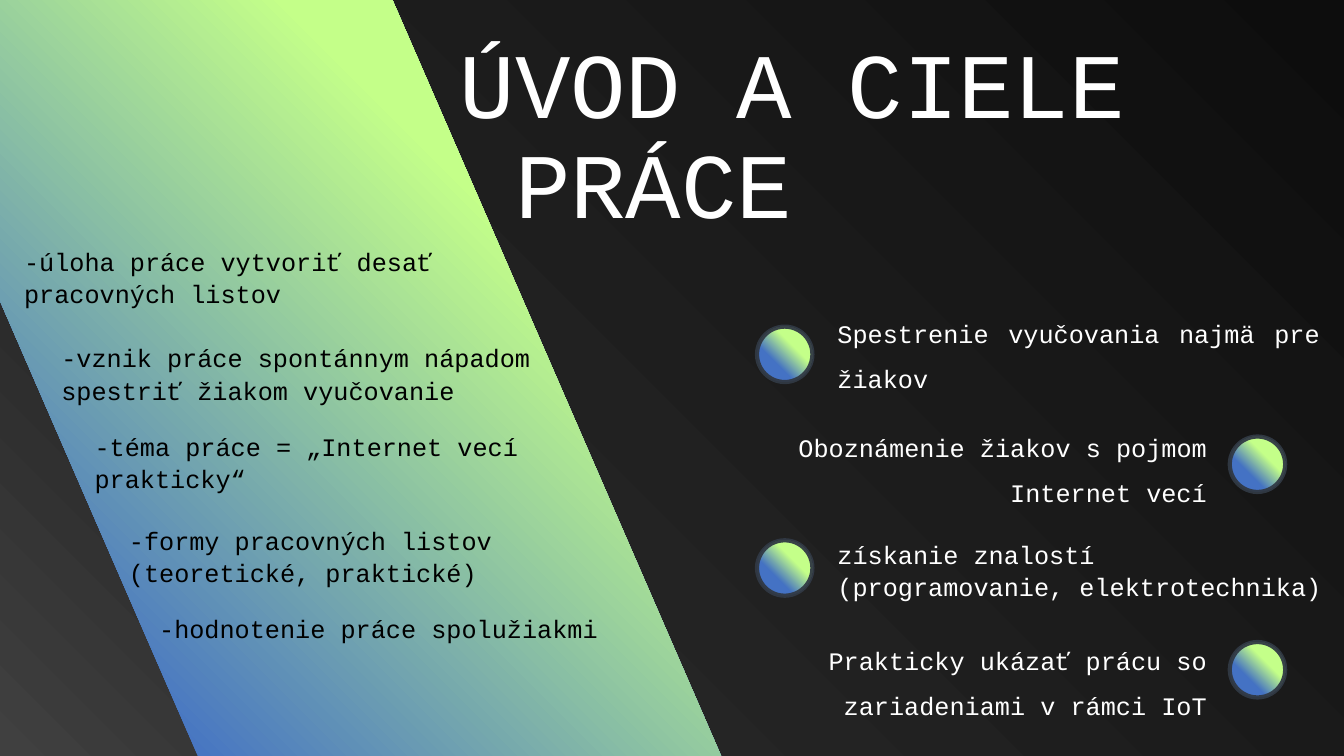
from lxml import etree
from pptx import Presentation
from pptx.dml.color import RGBColor
from pptx.enum.shapes import MSO_SHAPE
from pptx.enum.text import MSO_ANCHOR, MSO_AUTO_SIZE, PP_ALIGN
from pptx.oxml import parse_xml
from pptx.oxml.ns import nsdecls, qn
from pptx.util import Pt

WHITE = RGBColor(0xFF, 0xFF, 0xFF)
BLACK = RGBColor(0x00, 0x00, 0x00)
COAL = RGBColor(0x0D, 0x0D, 0x0D)
CHARCOAL = RGBColor(0x27, 0x27, 0x27)
GREY = RGBColor(0x40, 0x40, 0x40)
LIME = RGBColor(0xC4, 0xFF, 0x89)
BLUE = RGBColor(0x44, 0x72, 0xC4)
RING = RGBColor(0x31, 0x39, 0x44)

FONT = "Courier New"
DARK_STOPS = [(0, COAL), (74, CHARCOAL), (100, GREY)]
LIME_STOPS = [(35, LIME), (66, BLUE)]

deck = Presentation()
deck.slide_width, deck.slide_height = Pt(960), Pt(540)
page = deck.slides.add_slide(deck.slide_layouts[5])


def add_gradient_shape(kind, left, top, width, height, stops):
    """Add a shape shaded outwards from its top right corner."""
    shape = page.shapes.add_shape(kind, Pt(left), Pt(top), Pt(width), Pt(height))
    shape.shadow.inherit = False
    shape.line.fill.background()
    marks = "".join(
        f'<a:gs pos="{place * 1000}"><a:srgbClr val="{color}"/></a:gs>'
        for place, color in stops
    )
    gradient = parse_xml(
        f'<a:gradFill {nsdecls("a")} rotWithShape="1"><a:gsLst>{marks}</a:gsLst>'
        '<a:path path="circle"><a:fillToRect l="100000" b="100000"/></a:path>'
        '<a:tileRect t="-100000" r="-100000"/></a:gradFill>'
    )
    shape.element.spPr.find(qn("a:prstGeom")).addnext(gradient)
    return shape


def write_text(box, lines, size, color, paragraph_format):
    """Fill a box with left-top anchored lines in the slide's font."""
    frame = box.text_frame
    frame.word_wrap = True
    frame.auto_size = MSO_AUTO_SIZE.NONE
    frame.vertical_anchor = MSO_ANCHOR.TOP
    for index, line in enumerate(lines):
        para = frame.paragraphs[0] if index == 0 else frame.add_paragraph()
        for name, value in paragraph_format.items():
            setattr(para, name, value)
        span = para.add_run()
        span.text = line
        span.font.name, span.font.size = FONT, Pt(size)
        span.font.color.rgb = color


# Background and slanted band
add_gradient_shape(MSO_SHAPE.RECTANGLE, 0, 0, 960, 540, DARK_STOPS)
band = add_gradient_shape(MSO_SHAPE.RECTANGLE, -348.5, 162.7, 1174.3, 342.7, LIME_STOPS)
band.rotation = 66.5

# Title, brought in front of the band
title = page.shapes.title
title.left, title.top, title.width, title.height = Pt(321.1), Pt(23.8), Pt(870.5), Pt(39.6)
title_format = {"alignment": PP_ALIGN.LEFT, "line_spacing": 0.9, "space_before": Pt(0)}
write_text(title, ["ÚVOD A CIELE", "PRÁCE"], 66, WHITE, title_format)
second_line = title.text_frame.paragraphs[1]
second_line._p.get_or_add_pPr().set("marL", str(Pt(39.6)))  # one character wide
band.element.addnext(title.element)

# Introduction, stepping down along the band
TIGHT = {"alignment": PP_ALIGN.LEFT, "line_spacing": 1.07, "space_after": Pt(8)}
intro = [
    (10.1, 170.6, 332.6, "-úloha práce vytvoriť desať pracovných listov"),
    (36.7, 239.8, 355, "-vznik práce spontánnym nápadom spestriť žiakom vyučovanie"),
    (60.5, 303.1, 355, "-téma práce = „Internet vecí prakticky“"),
    (85, 370.1, 362.9, "-formy pracovných listov (teoretické, praktické)"),
    (106.6, 432.7, 362.9, "-hodnotenie práce spolužiakmi"),
]
for left, top, width, text in intro:
    box = page.shapes.add_textbox(Pt(left), Pt(top), Pt(width), Pt(107.3))
    write_text(box, [text], 18, BLACK, TIGHT)

# Goals, each with a disc on alternating sides
JUSTIFIED = {"alignment": PP_ALIGN.JUSTIFY, "line_spacing": 1.5}
RIGHT = {"alignment": PP_ALIGN.RIGHT, "line_spacing": 1.5}
DISC_SIZE = 39.6
DISC_LEFTS = [540.7, 878.4]
goals = [
    (233.3, (591.1, 213.1, 358.6, 69.1), JUSTIFIED,
     "Spestrenie vyučovania najmä pre žiakov"),
    (311.8, (542.2, 294.5, 326.9, 69.1), RIGHT,
     "Oboznámenie žiakov s pojmom Internet vecí"),
    (385.9, (591.1, 380.2, 367.9, 52.6), TIGHT,
     "získanie znalostí (programovanie, elektrotechnika)"),
    (458.6, (522, 446.4, 347, 69.1), RIGHT,
     "Prakticky ukázať prácu so zariadeniami v rámci IoT"),
]
for index, (disc_top, frame_place, text_format, text) in enumerate(goals):
    disc = add_gradient_shape(MSO_SHAPE.OVAL, DISC_LEFTS[index % 2], disc_top,
                              DISC_SIZE, DISC_SIZE, LIME_STOPS)
    disc.line.color.rgb = RING
    disc.line.width = Pt(3)
    ring_color = disc.element.spPr.find(qn("a:ln")).find(".//" + qn("a:srgbClr"))
    etree.SubElement(ring_color, qn("a:alpha"), val="94000")
    box = page.shapes.add_textbox(*[Pt(length) for length in frame_place])
    write_text(box, [text], 18, WHITE, text_format)

deck.save("out.pptx")
